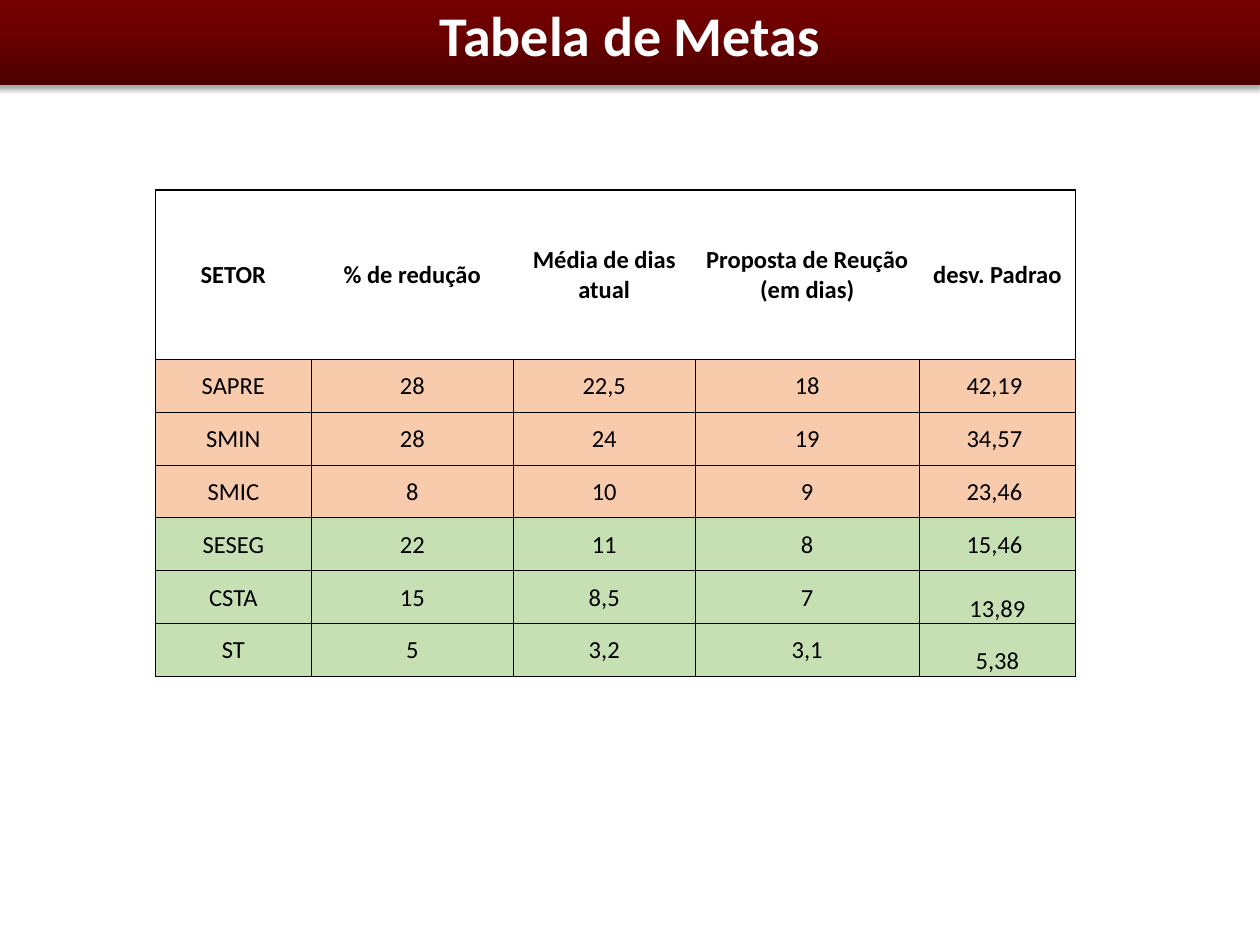
"""Build the "Tabela de Metas" slide: a title band and a table of goals by sector."""
from lxml import etree
from pptx import Presentation
from pptx import util as u
from pptx.dml.color import RGBColor
from pptx.enum import shapes, text
from pptx.oxml import parse_xml
from pptx.oxml.ns import nsdecls, qn

COLORS = {
    "white": "FFFFFF",
    "black": "000000",
    "band_dark": "4C0000",
    "band_middle": "6C0000",
    "band_light": "800000",
    "orange": "F8CBAD",
    "green": "C6E0B4",
}
FONT = "Calibri"
TITLE = "Tabela de Metas"
HEADERS = ["SETOR", "% de redução", "Média de dias atual",
           "Proposta de Reução\v(em dias)", "desv. Padrao"]
GOALS = [
    ("orange", ["SAPRE", "28", "22,5", "18", "42,19"]),
    ("orange", ["SMIN", "28", "24", "19", "34,57"]),
    ("orange", ["SMIC", "8", "10", "9", "23,46"]),
    ("green", ["SESEG", "22", "11", "8", "15,46"]),
    ("green", ["CSTA", "15", "8,5", "7", "13,89"]),
    ("green", ["ST", "5", "3,2", "3,1", "5,38"]),
]
BOTTOM_SECTORS = {"CSTA", "ST"}
COLUMN_WIDTHS = [89.1, 115.4, 104, 128, 89.4]
HEADER_HEIGHT, ROW_HEIGHT = 96.8, 30.2
TABLE_LEFT, TABLE_TOP = 88.8, 108.6


def write_text(frame, content, size=14, bold=False, color="black"):
    frame.text = content
    frame.word_wrap = True
    paragraph = frame.paragraphs[0]
    paragraph.alignment = text.PP_ALIGN.CENTER
    for line_break in paragraph._p.findall(qn("a:br")):
        etree.SubElement(line_break, qn("a:rPr"), sz=str(size * 100))
    for run in paragraph.runs:
        run.font.name = FONT
        run.font.size = u.Pt(size)
        run.font.bold = bold
        run.font.color.rgb = RGBColor.from_string(COLORS[color])


def place(shape, left, top, width, height):
    shape.left, shape.top = u.Pt(left), u.Pt(top)
    shape.width, shape.height = u.Pt(width), u.Pt(height)


def add_band(slide):
    band = slide.shapes.add_shape(shapes.MSO_SHAPE.RECTANGLE, u.Pt(-2.9), u.Pt(-13.7),
                                  u.Pt(722.9), u.Pt(62.6))
    band.line.fill.background()
    stops = "".join(
        f'<a:gs pos="{position}"><a:srgbClr val="{COLORS[name]}"/></a:gs>'
        for position, name in [(0, "band_dark"), (50000, "band_middle"), (100000, "band_light")])
    gradient = parse_xml(f'<a:gradFill {nsdecls("a")} rotWithShape="1"><a:gsLst>{stops}</a:gsLst>'
                         '<a:lin ang="16200000" scaled="0"/></a:gradFill>')
    shadow = parse_xml(
        f'<a:effectLst {nsdecls("a")}><a:outerShdw blurRad="{u.Pt(3.1)}" dist="{u.Pt(1.8)}" '
        f'dir="5400000" rotWithShape="0"><a:srgbClr val="{COLORS["black"]}">'
        '<a:alpha val="35000"/></a:srgbClr></a:outerShdw></a:effectLst>')
    properties = band._element.spPr
    properties.find(qn("a:prstGeom")).addnext(gradient)
    properties.append(shadow)


def set_borders(cell, widths):
    properties = cell._tc.get_or_add_tcPr()
    for side in "LRTB":
        width = widths[side]
        paint = (f'<a:solidFill><a:srgbClr val="{COLORS["black"]}"/></a:solidFill>'
                 if width else "<a:noFill/>")
        properties.append(parse_xml(
            f'<a:ln{side} {nsdecls("a")} w="{u.Pt(width)}">{paint}</a:ln{side}>'))


def format_cell(cell, content, widths, fill=None, right=0.7, bottom=False):
    write_text(cell.text_frame, content, bold=fill is None)
    cell.margin_left, cell.margin_right = u.Pt(0.7), u.Pt(right)
    cell.margin_top, cell.margin_bottom = u.Pt(0.7), u.Pt(0)
    cell.vertical_anchor = text.MSO_ANCHOR.BOTTOM if bottom else text.MSO_ANCHOR.MIDDLE
    set_borders(cell, widths)
    if fill:
        cell.fill.solid()
        cell.fill.fore_color.rgb = RGBColor.from_string(COLORS[fill])
    else:
        cell.fill.background()


def add_goals_table(slide):
    heights = [HEADER_HEIGHT] + [ROW_HEIGHT] * len(GOALS)
    table = slide.shapes.add_table(
        len(heights), len(HEADERS), u.Pt(TABLE_LEFT), u.Pt(TABLE_TOP),
        u.Pt(sum(COLUMN_WIDTHS)), u.Pt(sum(heights))).table
    table.first_row = table.horz_banding = False
    for column, width in zip(table.columns, COLUMN_WIDTHS):
        column.width = u.Pt(width)
    for row, height in zip(table.rows, heights):
        row.height = u.Pt(height)

    last = len(HEADERS) - 1
    for index, header in enumerate(HEADERS):
        widths = {"L": 1 if index == 0 else 0, "R": 1 if index == last else 0, "T": 1, "B": 0.5}
        format_cell(table.cell(0, index), header, widths)
    for row_index, (fill, values) in enumerate(GOALS, start=1):
        for index, value in enumerate(values):
            bottom = index == last and values[0] in BOTTOM_SECTORS
            right = 4 if index == last and not bottom else 0.7
            format_cell(table.cell(row_index, index), value, dict.fromkeys("LRTB", 0.5),
                        fill=fill, right=right, bottom=bottom)


def main():
    presentation = Presentation()
    presentation.slide_width, presentation.slide_height = u.Pt(720), u.Pt(540)
    slide = presentation.slides.add_slide(presentation.slide_layouts[5])
    add_band(slide)
    title = slide.shapes.title
    slide.shapes._spTree.append(title._element)
    place(title, 0, -5.8, 720, 51.1)
    write_text(title.text_frame, TITLE, size=32, bold=True, color="white")
    title.text_frame.auto_size = text.MSO_AUTO_SIZE.NONE
    title.text_frame.vertical_anchor = text.MSO_ANCHOR.MIDDLE
    add_goals_table(slide)
    presentation.save("out.pptx")


if __name__ == "__main__":
    main()
